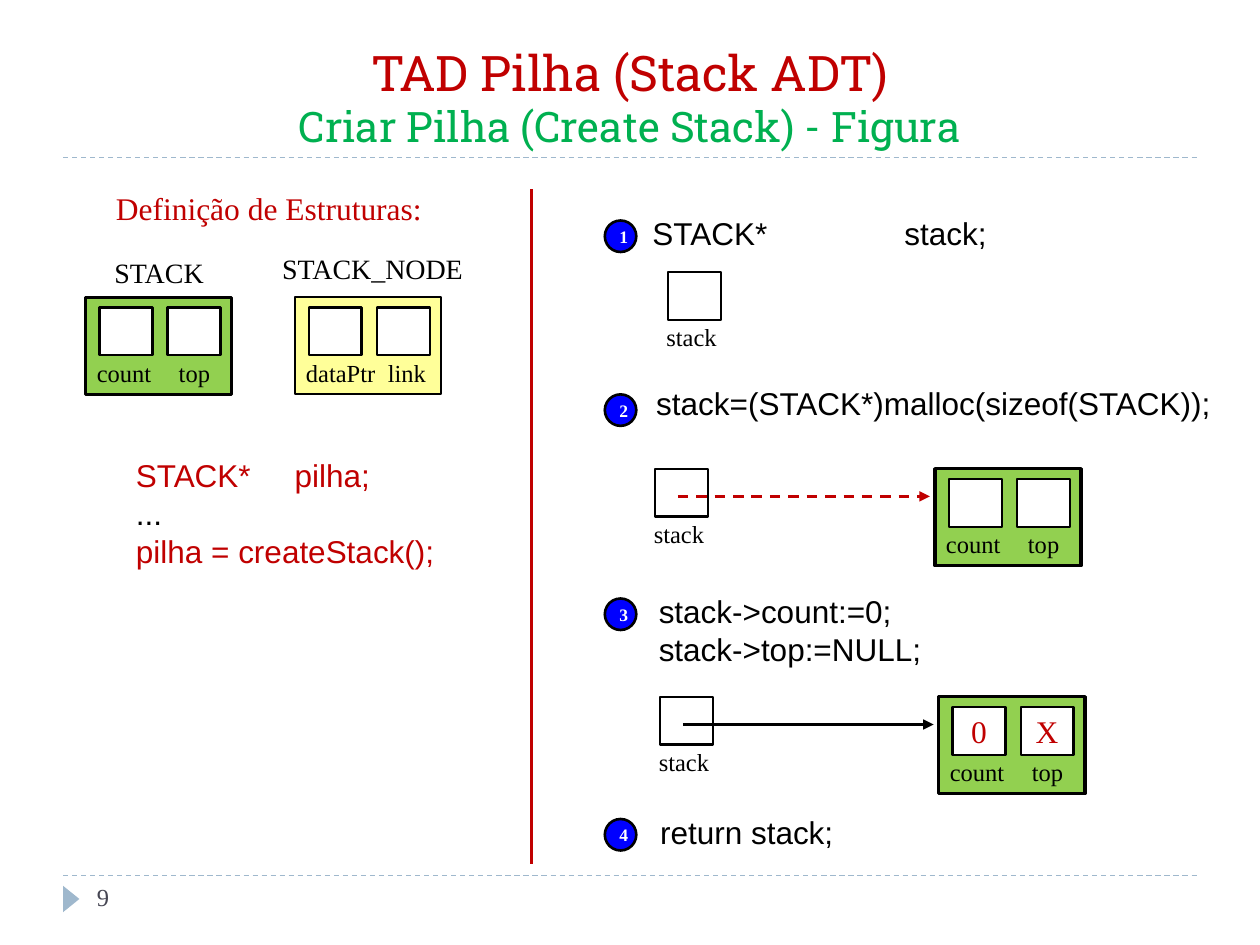
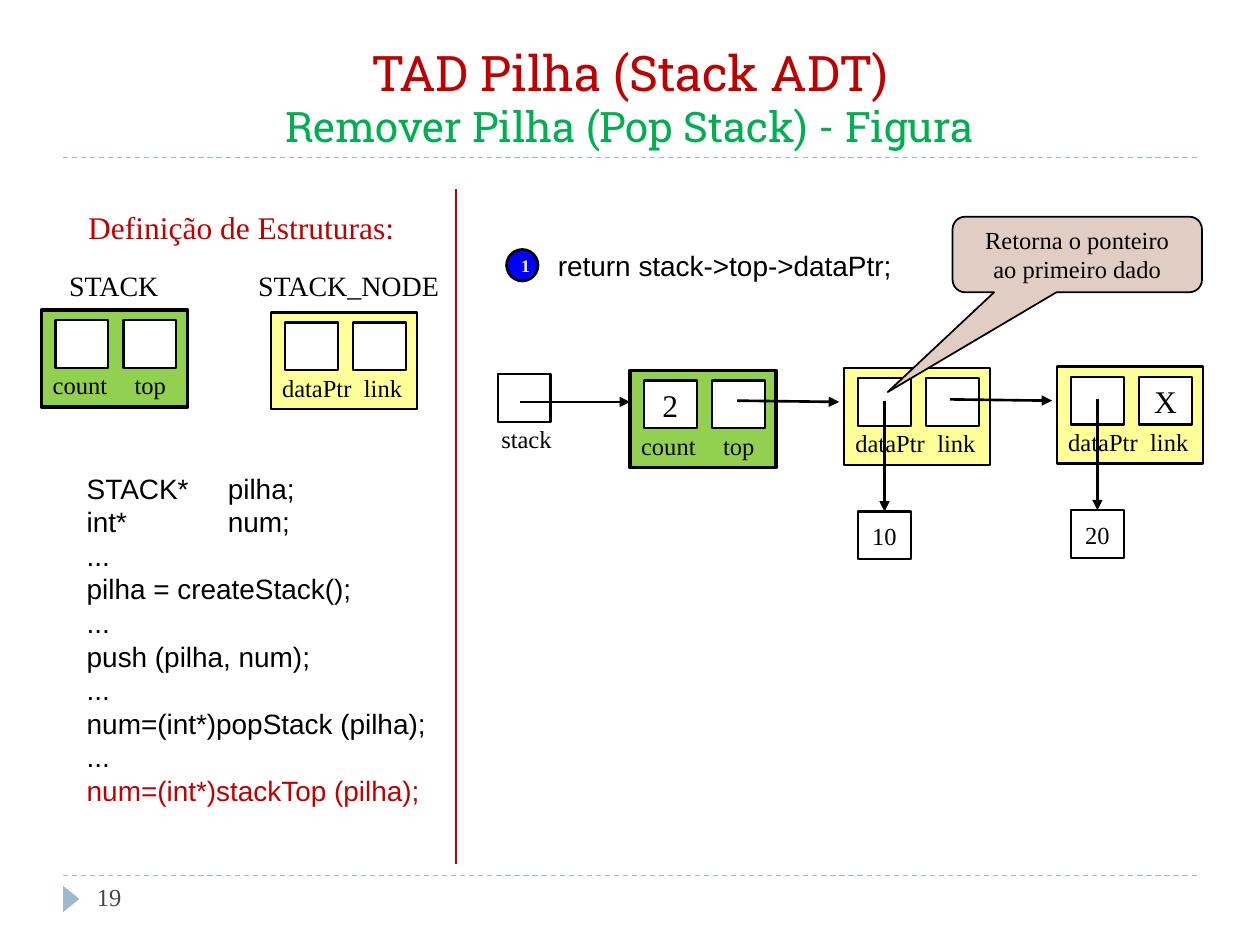
from lxml import etree
from pptx import Presentation
from pptx.dml.color import RGBColor
from pptx.enum.dml import MSO_LINE
from pptx.enum.shapes import MSO_CONNECTOR, MSO_SHAPE
from pptx.enum.text import MSO_ANCHOR, PP_ALIGN
from pptx.oxml.ns import qn
from pptx.util import Inches, Pt

RECT, OVAL = MSO_SHAPE.RECTANGLE, MSO_SHAPE.OVAL
TRIANGLE, CALLOUT = MSO_SHAPE.ISOSCELES_TRIANGLE, MSO_SHAPE.ROUNDED_RECTANGULAR_CALLOUT
STRAIGHT, DASH = MSO_CONNECTOR.STRAIGHT, MSO_LINE.DASH
LEFT, CENTER = PP_ALIGN.LEFT, PP_ALIGN.CENTER
TOP, MIDDLE, BOTTOM = MSO_ANCHOR.TOP, MSO_ANCHOR.MIDDLE, MSO_ANCHOR.BOTTOM

SERIF, SANS, SLAB = "Times New Roman", "Arial", "Roboto Slab"
BLACK, WHITE, RED, GREEN = "000000", "FFFFFF", "C00000", "00B050"
BLUE, STEEL, SLATE, ROSE = "0000FF", "9FB8CD", "464653", "E2CDC5"
LIME, YELLOW = "92D050", "FFFF99"
CELL_W, CELL_H, CELL_GAP = 0.42, 0.38, 0.54
STACK = dict(names=("count", "top"), widths=(0.64, 0.45), fill=LIME, weight=2)
NODE = dict(names=("dataPtr", "link"), widths=(0.76, 0.51), fill=YELLOW, weight=1.25)


def rgb(code):
    """Turn a hex string into a colour."""
    return RGBColor.from_string(code)


def write(shape, text, size=14, font=SERIF, color=BLACK, bold=False, align=LEFT,
          anchor=TOP, wrap=True, tab=None, marks=None):
    """Fill a shape with lines of text; marks gives some lines a (colour, size)."""
    frame = shape.text_frame
    frame.word_wrap = wrap
    frame.vertical_anchor = anchor
    for i, line in enumerate(text.split("\n")):
        para = frame.add_paragraph() if i else frame.paragraphs[0]
        para.alignment = align
        run = para.add_run()
        run.text = line
        tone, points = (marks or {}).get(i, (color, size))
        run.font.name, run.font.size, run.font.bold = font, Pt(points), bold
        run.font.color.rgb = rgb(tone)
    if tab:
        for item in shape.element.iter(qn("a:p")):
            stops = etree.SubElement(item.get_or_add_pPr(), qn("a:tabLst"))
            etree.SubElement(stops, qn("a:tab"), pos=str(Inches(tab)), algn="l")


def label(shapes, x, y, w, h, text, **style):
    """Add a text box."""
    write(shapes.add_textbox(Inches(x), Inches(y), Inches(w), Inches(h)), text, **style)


def form(shapes, kind, x, y, w, h, fill, weight=None):
    """Add a flat filled shape with an optional black outline."""
    shape = shapes.add_shape(kind, Inches(x), Inches(y), Inches(w), Inches(h))
    shape.shadow.inherit = False
    shape.fill.solid()
    shape.fill.fore_color.rgb = rgb(fill)
    if weight:
        shape.line.color.rgb = rgb(BLACK)
        shape.line.width = Pt(weight)
    else:
        shape.line.fill.background()
    return shape


def rule(shapes, x1, y1, x2, y2, color=BLACK, weight=1.5, dash=False, arrow=False):
    """Draw a straight line, with an arrowhead at its end if asked."""
    line = shapes.add_connector(STRAIGHT, Inches(x1), Inches(y1), Inches(x2), Inches(y2))
    line.line.color.rgb = rgb(color)
    line.line.width = Pt(weight)
    if dash:
        line.line.dash_style = DASH
    props = line.element.spPr
    if arrow:
        etree.SubElement(props.find(qn("a:ln")), qn("a:tailEnd"), type="triangle")
    etree.SubElement(props, qn("a:effectLst"))


def cell(shapes, x, y, text="", size=18, color=BLACK):
    """Draw one white memory cell."""
    box = form(shapes, RECT, x, y, CELL_W, CELL_H, WHITE, 1.25)
    if text:
        write(box, text, size=size, color=color, align=CENTER, anchor=MIDDLE)


def record(slide, x, y, names, widths, fill, weight, values=("", ""), color=BLACK):
    """Draw a grouped record with two named cells."""
    shapes = slide.shapes.add_group_shape().shapes
    form(shapes, RECT, x, y, 1.16, 0.77, fill, weight)
    for i, (name, width, value) in enumerate(zip(names, widths, values)):
        label(shapes, x - 0.01 + i * 0.65, y + 0.43, width, 0.34, name, wrap=False)
        cell(shapes, x + 0.11 + i * CELL_GAP, y + 0.08, value, color=color)


def pointer(slide, x, y, end=None, shift=0.11, **style):
    """Draw the stack pointer cell and its arrow."""
    cell(slide.shapes, x, y)
    label(slide.shapes, x - shift, y + 0.35, 0.61, 0.34, "stack", wrap=False)
    if end:
        rule(slide.shapes, x + 0.18, y + 0.22, end, y + 0.22, arrow=True, **style)


def step(slide, x, y, number):
    """Draw a numbered badge."""
    badge = form(slide.shapes, OVAL, x, y, 0.25, 0.25, BLUE, 1.5)
    write(badge, str(number), size=10, color=WHITE, bold=True, align=CENTER, anchor=MIDDLE)


def base(deck, topic, page, split):
    """Add a slide with its title, rules, divider and page number."""
    slide = deck.slides.add_slide(deck.slide_layouts[6])
    shapes = slide.shapes
    for y in (6.95, 1.25):
        rule(shapes, 0.5, y, 9.5, y, STEEL, 0.75, dash=True)
    form(shapes, TRIANGLE, 0.46, 7.07, 0.21, 0.13, STEEL).rotation = 90
    label(shapes, 0.5, 0.25, 9, 1, f"TAD Pilha (Stack ADT)\n{topic}", size=28, font=SLAB,
          color=RED, align=CENTER, anchor=BOTTOM, marks={1: (GREEN, 24)})
    label(shapes, 0.67, 6.95, 2.17, 0.4, str(page), color=SLATE)
    rule(shapes, split, 1.5, split, 6.86, RED)
    return slide


def types(slide, head, stack, node, names):
    """Show the two record types at the given corners."""
    shapes = slide.shapes
    label(shapes, *head, 2.65, 0.4, "Definição de Estruturas:", size=18, color=RED, align=CENTER)
    for text, spot, width in zip(("STACK", "STACK_NODE"), names, (0.92, 1.65)):
        label(shapes, *spot, width, 0.37, text, size=16, wrap=False)
    record(slide, *stack, **STACK)
    record(slide, *node, **NODE)


def create(deck):
    """Build the slide that creates a stack."""
    slide = base(deck, "Criar Pilha (Create Stack) - Figura", 9, 4.22)
    shapes = slide.shapes
    types(slide, (0.81, 1.45), (0.68, 2.36), (2.34, 2.36), ((0.81, 1.98), (2.14, 1.95)))
    label(shapes, 0.98, 3.57, 2.65, 1.01, "STACK*\tpilha;\n...\npilha = createStack();",
          size=18, font=SANS, color=RED, tab=1.26, marks={1: (BLACK, 18)})
    steps = (
        (1.75, 5.08, 1.65, 2.88, "STACK*\tstack;"),
        (3.13, 5.11, 3, 4.65, "stack=(STACK*)malloc(sizeof(STACK));"),
        (4.75, 5.13, 4.65, 2.31, "stack->count:=0;\nstack->top:=NULL;"),
        (6.5, 5.14, 6.4, 1.59, "return stack;"),
    )
    for number, (mark, x, y, width, code) in enumerate(steps, 1):
        step(slide, 4.8, mark, number)
        label(shapes, x, y, width, 0.4, code, size=18, font=SANS, tab=2)
    pointer(slide, 5.3, 2.16)
    pointer(slide, 5.2, 3.72, 7.38, color=RED, dash=True)
    record(slide, 7.42, 3.72, **STACK)
    pointer(slide, 5.24, 5.53, 7.41)
    record(slide, 7.45, 5.53, **STACK, values=("0", "X"), color=RED)


def chain(slide, x, y):
    """Draw the stack with its two linked nodes and their data."""
    shapes = slide.shapes
    pointer(slide, x, y, x + 1.05, shift=0.07)
    record(slide, x + 1.05, y - 0.03, **STACK, values=("2", ""))
    nodes = ((x + 2.75, y - 0.05, "", "10"), (x + 4.44, y - 0.06, "X", "20"))
    for left, top, link, data in nodes:
        record(slide, left, top, **NODE, values=("", link))
        cell(shapes, left + 0.11, top + 1.14, data, size=14)
        rule(shapes, left + 0.32, top + 0.26, left + 0.32, top + 1.14, arrow=True)
        rule(shapes, left - 0.85, top + 0.26, left - 0.04, top + 0.27, arrow=True)


def remove(deck):
    """Build the slide that reads the top of the stack."""
    slide = base(deck, "Remover Pilha (Pop Stack) - Figura", 19, 3.62)
    shapes = slide.shapes
    types(slide, (0.59, 1.6), (0.33, 2.46), (2.15, 2.48), ((0.45, 2.08), (1.95, 2.08)))
    code = ("STACK*\tpilha;\nint*\tnum;\n...\npilha = createStack();\n...\n"
            "push (pilha, num);\n...\nnum=(int*)popStack (pilha);\n...\n"
            "num=(int*)stackTop (pilha);")
    label(shapes, 0.59, 3.69, 2.97, 2.79, code, size=16, font=SANS, tab=1.12,
          marks={9: (RED, 16)})
    step(slide, 4.02, 1.98, 1)
    label(shapes, 4.33, 1.92, 3.53, 0.37, "return stack->top->dataPtr;", size=16, font=SANS)
    chain(slide, 3.95, 2.97)
    note = form(shapes, CALLOUT, 7.56, 1.72, 1.98, 0.6, ROSE, 1)
    note.adjustments[0], note.adjustments[1] = -0.76, 1.82
    write(note, "Retorna o ponteiro\nao primeiro dado", align=CENTER, anchor=MIDDLE)


def main():
    """Build and save the deck."""
    deck = Presentation()
    deck.slide_width, deck.slide_height = Inches(10), Inches(7.5)
    create(deck)
    remove(deck)
    deck.save("out.pptx")


if __name__ == "__main__":
    main()
